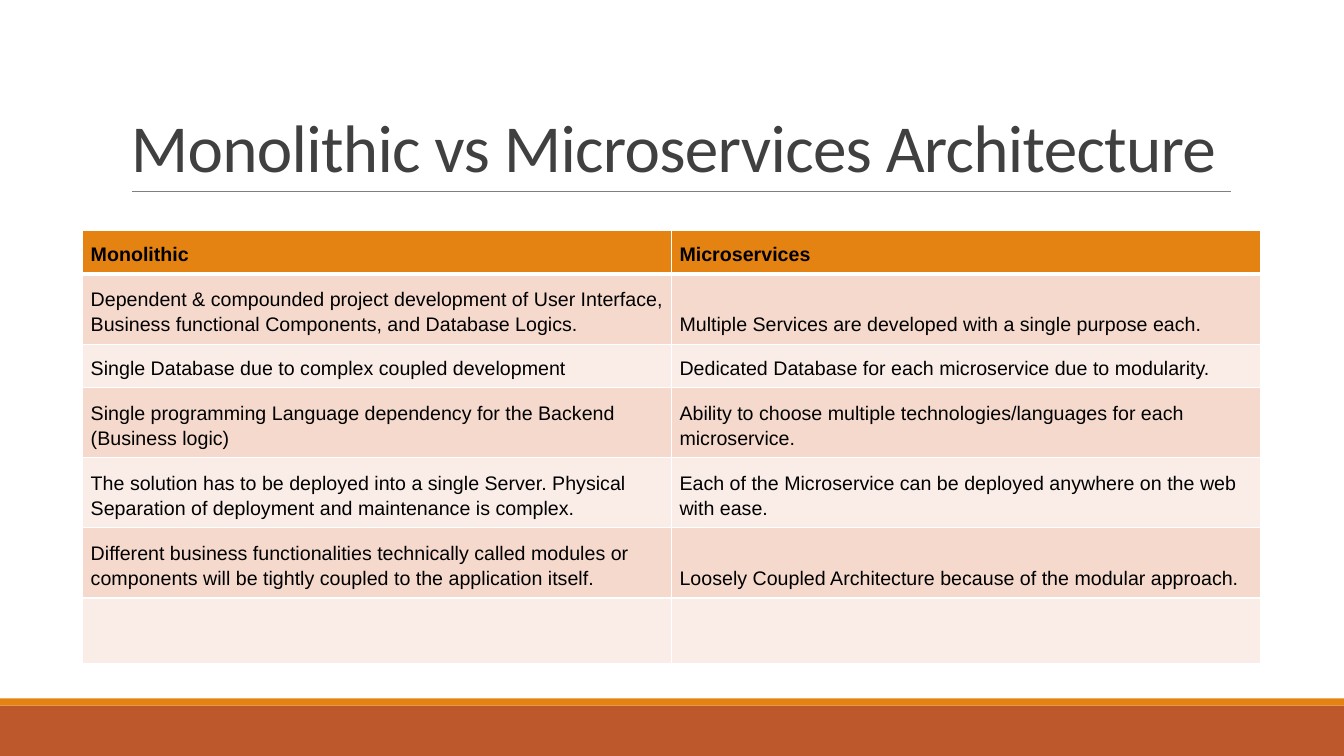
from lxml.etree import SubElement
from pptx import Presentation
from pptx.dml.color import RGBColor
from pptx.enum.shapes import MSO_CONNECTOR, MSO_SHAPE
from pptx.enum.text import MSO_ANCHOR
from pptx.oxml import parse_xml
from pptx.oxml.ns import nsdecls, qn
from pptx.util import Inches, Pt

TITLE = "Monolithic vs Microservices Architecture"
ROWS = [
    ("Monolithic", "Microservices"),
    ("Dependent & compounded project development of User Interface, Business functional Components, and Database Logics.",
     "Multiple Services are developed with a single purpose each."),
    ("Single Database due to complex coupled development",
     "Dedicated Database for each microservice due to modularity."),
    ("Single programming Language dependency for the Backend (Business logic)",
     "Ability to choose multiple technologies/languages for each microservice."),
    ("The solution has to be deployed into a single Server. Physical Separation of deployment and maintenance is complex.",
     "Each of the Microservice can be deployed anywhere on the web with ease."),
    ("Different business functionalities technically called modules or components will be tightly coupled to the application itself.",
     "Loosely Coupled Architecture because of the modular approach."),
    ("", ""),
]
ROW_HEIGHTS = [0.32, 0.47, 0.32, 0.32, 0.47, 0.47, 0.65]
HEADER_FILL = "E48312"
BAND_FILLS = ["FAEDE7", "F5D9CC"]
WIDTH, HEIGHT = 13.33, 7.5
FOOTER_BANDS = [("BD582C", 7, 0.5), ("E48312", 6.93, 0.07)]
TABLE_LEFT, TABLE_TOP, TABLE_WIDTH, TABLE_HEIGHT = 0.82, 2.29, 11.68, 4.22


def color(value):
    return RGBColor.from_string(value)


def write(frame, text, font="Arial", size=14, ink="000000", bold=False, line_spacing=1.15, tracking=None):
    paragraph = frame.paragraphs[0]
    paragraph.line_spacing = line_spacing
    run = paragraph.add_run()
    run.text = text
    run.font.name = font
    run.font.size = Pt(size)
    run.font.bold = bold
    run.font.color.rgb = color(ink)
    if tracking is not None:
        run.font._element.set("spc", str(round(tracking * 100)))


def set_borders(cell, **widths):
    properties = cell._tc.get_or_add_tcPr()
    for index, side in enumerate("LRTB"):
        width = Pt(widths.get(side, 1))
        border = parse_xml(f'<a:ln{side} {nsdecls("a")} w="{width}"><a:solidFill>'
                           f'<a:srgbClr val="FFFFFF"/></a:solidFill></a:ln{side}>')
        properties.insert(index, border)


def add_footer(slide):
    for fill, top, height in FOOTER_BANDS:
        shape = slide.shapes.add_shape(MSO_SHAPE.RECTANGLE, 0, Inches(top), Inches(WIDTH), Inches(height))
        shape.shadow.inherit = False
        shape.fill.solid()
        shape.fill.fore_color.rgb = color(fill)
        shape.line.fill.background()


def add_title(slide):
    rule = slide.shapes.add_connector(MSO_CONNECTOR.STRAIGHT, Inches(1.31), Inches(1.9), Inches(12.21), Inches(1.9))
    rule.line.color.rgb = color("808080")
    rule.line.width = Pt(0.5)
    SubElement(rule._element.spPr, qn("a:effectLst"))
    title = slide.shapes.add_textbox(Inches(1.2), Inches(0.31), Inches(11), Inches(1.59))
    frame = title.text_frame
    frame.word_wrap = True
    frame.vertical_anchor = MSO_ANCHOR.BOTTOM
    write(frame, TITLE, font="Calibri", size=48, ink="404040", line_spacing=0.85, tracking=-0.5)


def add_comparison(slide):
    columns = len(ROWS[0])
    graphic = slide.shapes.add_table(len(ROWS), columns, Inches(TABLE_LEFT), Inches(TABLE_TOP),
                                     Inches(TABLE_WIDTH), Inches(TABLE_HEIGHT))
    table = graphic.table
    for column in table.columns:
        column.width = Inches(TABLE_WIDTH / columns)
    for row_index, (texts, height) in enumerate(zip(ROWS, ROW_HEIGHTS)):
        table.rows[row_index].height = Inches(height)
        header = row_index == 0
        for column_index, text in enumerate(texts):
            cell = table.cell(row_index, column_index)
            cell.fill.solid()
            cell.fill.fore_color.rgb = color(HEADER_FILL if header else BAND_FILLS[row_index % 2])
            cell.vertical_anchor = MSO_ANCHOR.BOTTOM
            cell.margin_left = cell.margin_right = cell.margin_top = cell.margin_bottom = Inches(0.08)
            set_borders(cell, T=3 if row_index == 1 else 1, B=3 if header else 1)
            if text:
                write(cell.text_frame, text, bold=header)
    graphic.height = Inches(TABLE_HEIGHT)


def main():
    presentation = Presentation()
    presentation.slide_width = Inches(WIDTH)
    presentation.slide_height = Inches(HEIGHT)
    slide = presentation.slides.add_slide(presentation.slide_layouts[6])
    add_footer(slide)
    add_title(slide)
    add_comparison(slide)
    presentation.save("out.pptx")


if __name__ == "__main__":
    main()
